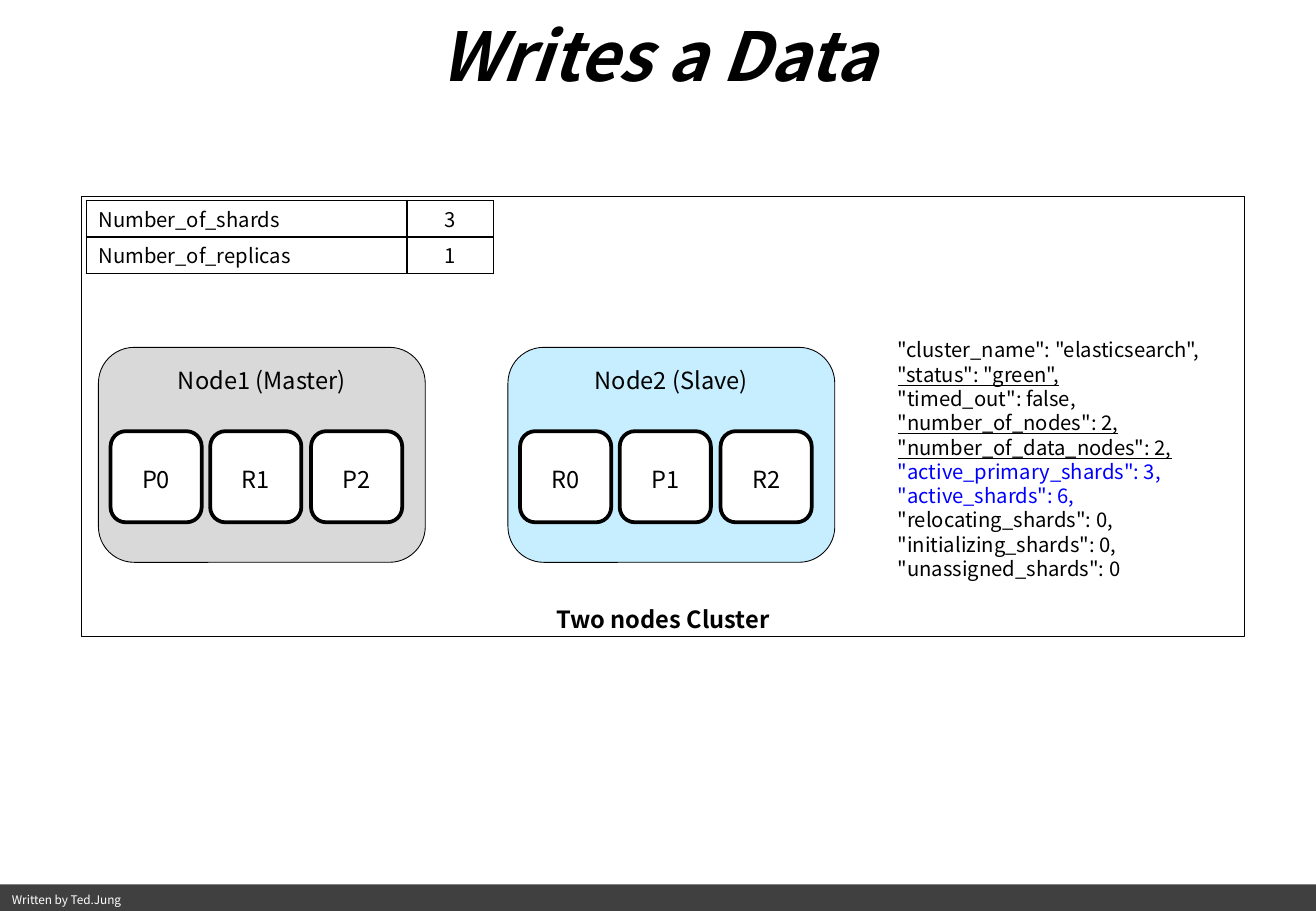
import dataclasses

import lxml.etree
import pptx
import pptx.dml.color
import pptx.enum.shapes
import pptx.enum.text
import pptx.oxml.ns
import pptx.util

PX = 9144  # EMU per px, 100 px to the inch
ALIGN = pptx.enum.text.PP_ALIGN
ANCHOR = pptx.enum.text.MSO_ANCHOR
SHAPE = pptx.enum.shapes.MSO_SHAPE


@dataclasses.dataclass(frozen=True)
class Theme:
    font: str = "Noto Sans CJK KR"
    ink: str = "000000"
    paper: str = "FFFFFF"
    footer: str = "404040"
    master: str = "D9D9D9"
    slave: str = "C6EEFF"
    highlight: str = "0000FF"
    title_size: int = 40
    label_size: int = 14
    body_size: int = 12
    footer_size: int = 7
    leading: float = 1.2
    thin: float = 0.5
    border: float = 1
    thick: float = 2.25


THEME = Theme()

SETTINGS = [("Number_of_shards", "3"), ("Number_of_replicas", "1")]

# text, underlined, colour
HEALTH = [
    ('"cluster_name": "elasticsearch",', False, THEME.ink),
    ('"status": "green",', True, THEME.ink),
    ('"timed_out": false,', False, THEME.ink),
    ('"number_of_nodes": 2,', True, THEME.ink),
    ('"number_of_data_nodes": 2,', True, THEME.ink),
    ('"active_primary_shards": 3,', False, THEME.highlight),
    ('"active_shards": 6,', False, THEME.highlight),
    ('"relocating_shards": 0,', False, THEME.ink),
    ('"initializing_shards": 0,', False, THEME.ink),
    ('"unassigned_shards": 0', False, THEME.ink),
]


def px(*lengths):
    return [pptx.util.Emu(length * PX) for length in lengths]


def rgb(value):
    return pptx.dml.color.RGBColor.from_string(value)


def set_insets(holder):
    """Set margins of a text frame or cell, with the text a little low."""
    (holder.margin_left, holder.margin_top,
     holder.margin_right, holder.margin_bottom) = px(10, 7, 10, 3)


def add_run(paragraph, text, size, color=THEME.ink, align=ALIGN.LEFT,
            bold=False, italic=False, underline=False):
    paragraph.alignment = align
    paragraph.line_spacing = pptx.util.Pt(round(size * THEME.leading, 1))
    run = paragraph.add_run()
    run.text = text
    font = run.font
    font.name = THEME.font
    font.size = pptx.util.Pt(size)
    font.color.rgb = rgb(color)
    font.bold, font.italic, font.underline = bold, italic, underline


def prepare_frame(shape, anchor):
    frame = shape.text_frame
    frame.word_wrap = True
    frame.vertical_anchor = anchor
    set_insets(frame)
    return frame.paragraphs[0]


def add_box(shapes, kind, bounds, fill, line_width, anchor):
    """Add a filled shape and return its first paragraph."""
    shape = shapes.add_shape(kind, *px(*bounds))
    shape.shadow.inherit = False
    shape.fill.solid()
    shape.fill.fore_color.rgb = rgb(fill)
    if line_width:
        shape.line.color.rgb = rgb(THEME.ink)
        shape.line.width = pptx.util.Pt(line_width)
    else:
        shape.line.fill.background()
    return prepare_frame(shape, anchor)


def add_text_box(slide, bounds, anchor):
    return prepare_frame(slide.shapes.add_textbox(*px(*bounds)), anchor)


def add_node(slide, left, name, fill, shards):
    shapes = slide.shapes.add_group_shape().shapes
    label = add_box(shapes, SHAPE.ROUNDED_RECTANGLE, (left, 286, 269, 177),
                    fill, THEME.thin, ANCHOR.TOP)
    add_run(label, name, THEME.label_size, align=ALIGN.CENTER)
    for index, shard in enumerate(shards):
        bounds = (left + 10 + round(index * 82.5), 355, 75, 75)
        label = add_box(shapes, SHAPE.ROUNDED_RECTANGLE, bounds,
                        THEME.paper, THEME.thick, ANCHOR.MIDDLE)
        add_run(label, shard, THEME.label_size, align=ALIGN.CENTER)


def set_borders(cell):
    properties = cell._tc.get_or_add_tcPr()
    qn = pptx.oxml.ns.qn
    for position, side in enumerate(("a:lnL", "a:lnR", "a:lnT", "a:lnB")):
        line = lxml.etree.Element(qn(side), w=str(pptx.util.Pt(THEME.border)))
        fill = lxml.etree.SubElement(line, qn("a:solidFill"))
        lxml.etree.SubElement(fill, qn("a:srgbClr"), val=THEME.ink)
        properties.insert(position, line)


def add_settings_table(slide):
    table = slide.shapes.add_table(len(SETTINGS), 2, *px(71, 165, 335, 60)).table
    table.first_row = table.horz_banding = False
    for column, width in zip(table.columns, px(264, 71)):
        column.width = width
    for row, values in enumerate(SETTINGS):
        for column, align in enumerate((ALIGN.LEFT, ALIGN.CENTER)):
            cell = table.cell(row, column)
            cell.fill.solid()
            cell.fill.fore_color.rgb = rgb(THEME.paper)
            cell.vertical_anchor = ANCHOR.MIDDLE
            set_insets(cell)
            set_borders(cell)
            add_run(cell.text_frame.paragraphs[0], values[column],
                    THEME.body_size, align=align)


def add_health(slide):
    paragraph = add_text_box(slide, (729, 271, 294, 212), ANCHOR.TOP)
    frame = paragraph._parent
    for index, (text, underline, color) in enumerate(HEALTH):
        if index:
            paragraph = frame.add_paragraph()
        add_run(paragraph, text, THEME.body_size, color, underline=underline)


def main():
    presentation = pptx.Presentation()
    presentation.slide_width, presentation.slide_height = px(1083, 750)
    slide = presentation.slides.add_slide(presentation.slide_layouts[6])

    footer = add_box(slide.shapes, SHAPE.RECTANGLE, (0, 728, 1083, 22),
                     THEME.footer, None, ANCHOR.TOP)
    add_run(footer, "Written by Ted.Jung", THEME.footer_size, THEME.paper)

    cluster = add_box(slide.shapes, SHAPE.RECTANGLE, (67, 162, 957, 362),
                      THEME.paper, THEME.thin, ANCHOR.BOTTOM)
    add_run(cluster, "Two nodes Cluster", THEME.label_size,
            align=ALIGN.CENTER, bold=True)

    add_node(slide, 81, "Node1 (Master)", THEME.master, ("P0", "R1", "P2"))
    add_node(slide, 418, "Node2 (Slave)", THEME.slave, ("R0", "P1", "R2"))
    add_health(slide)

    title = add_text_box(slide, (92, 17, 898, 51), ANCHOR.MIDDLE)
    add_run(title, "Writes a Data", THEME.title_size,
            align=ALIGN.CENTER, bold=True, italic=True)

    add_settings_table(slide)
    presentation.save("out.pptx")


if __name__ == "__main__":
    main()
